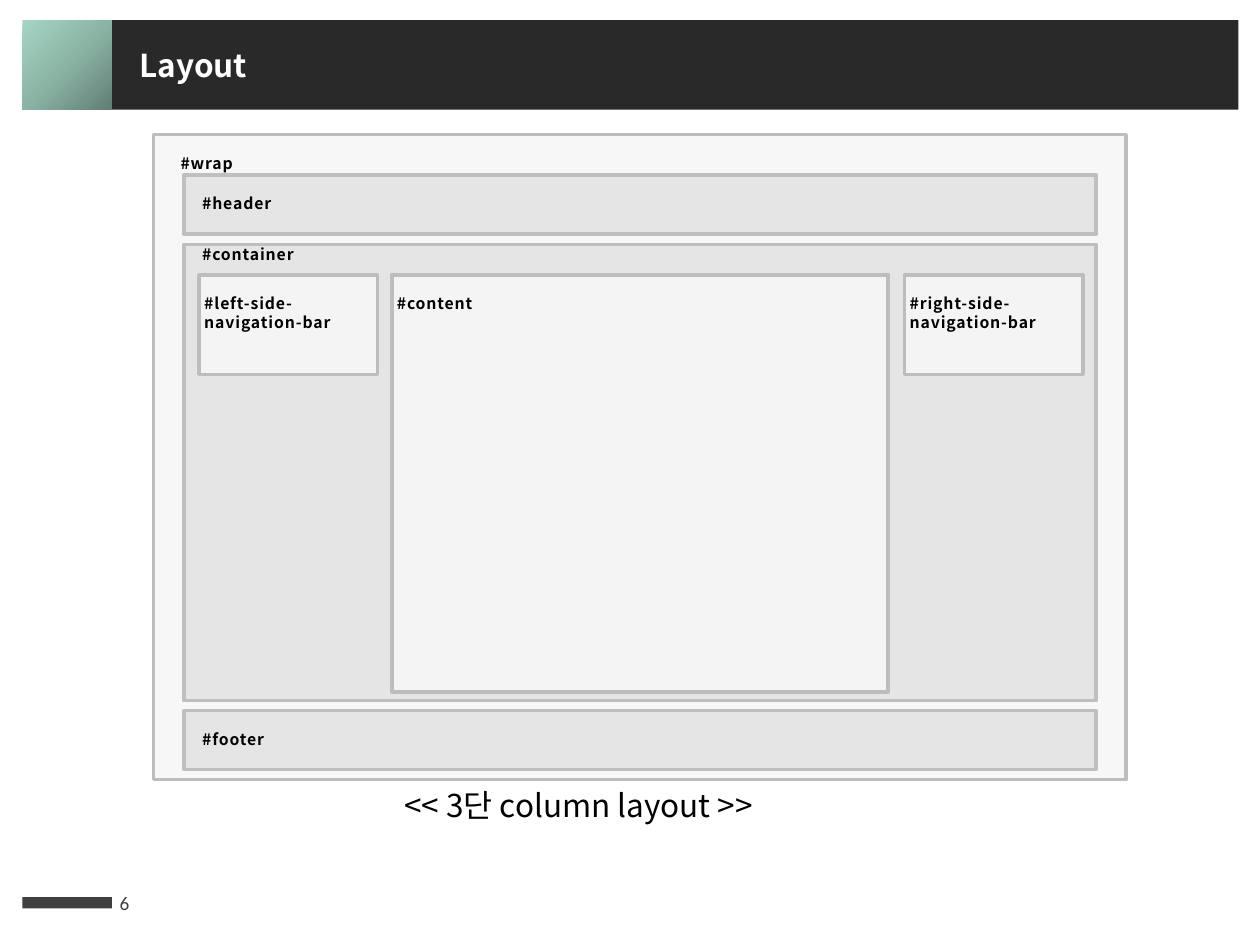
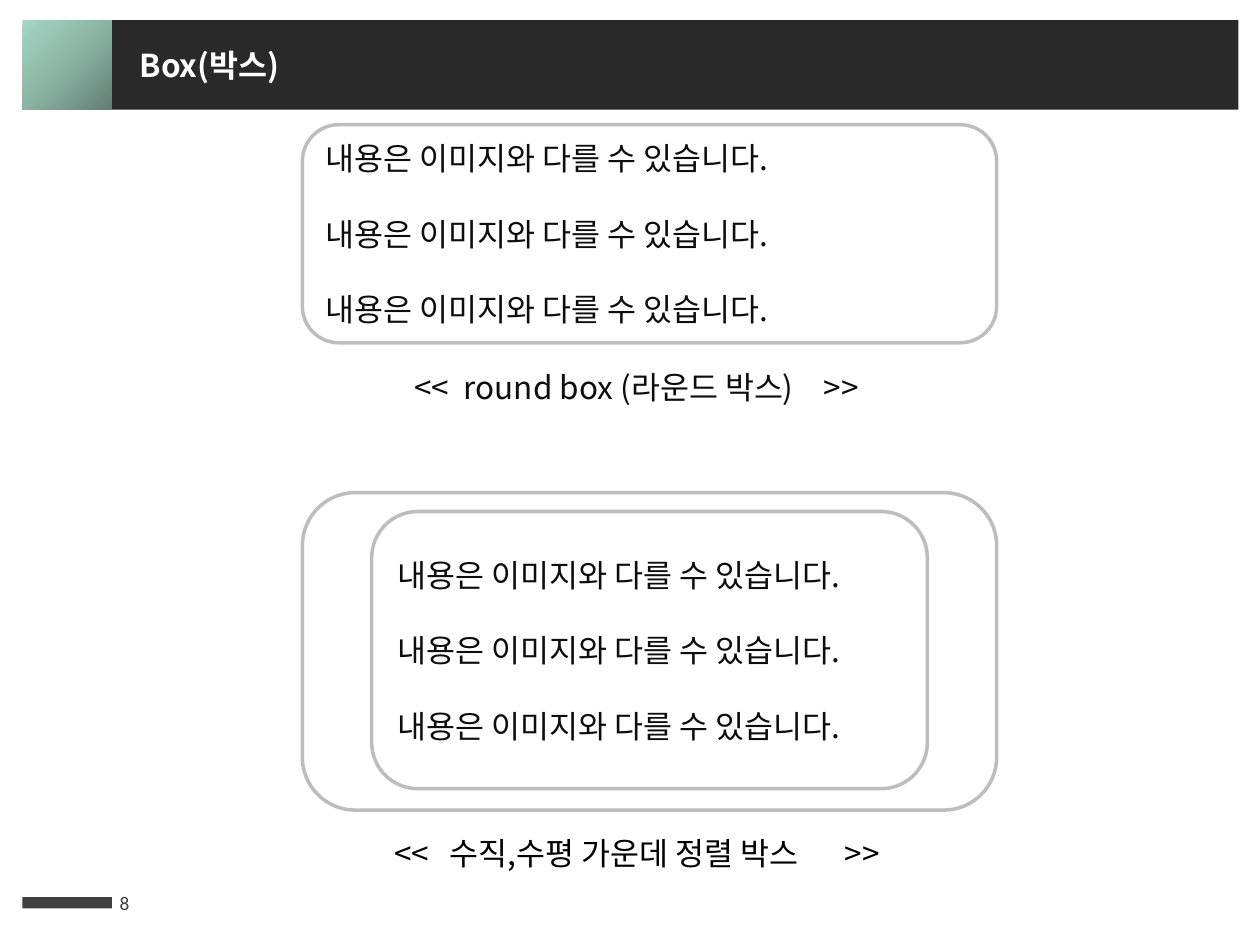
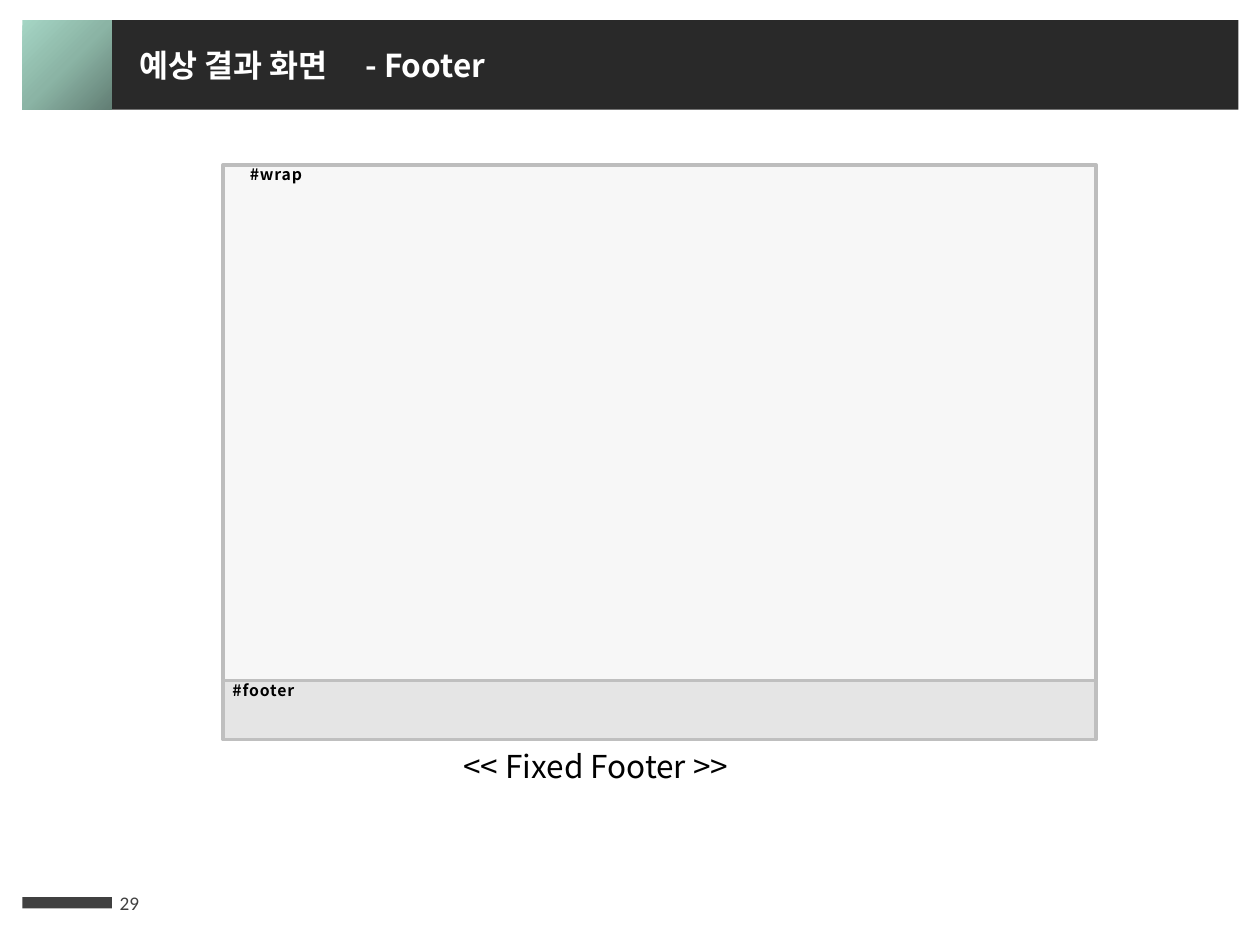
from dataclasses import dataclass

from lxml import etree
from pptx import Presentation
from pptx.dml.color import RGBColor
from pptx.enum import shapes, text
from pptx.oxml import ns, parse_xml
from pptx.util import Pt

HUES = {
    "band": "292929", "bar": "404040", "page": "F7F7F7", "block": "E5E5E5",
    "white": "FFFFFF", "black": "000000", "ink": "0D0D0D",
    "edge": "BDBDBD", "rim": "BFBFBF",
    "deep": "627E74", "mid": "8BB4A5", "mint": "A5D5C4",
}
SANS = "Noto Sans CJK KR"
RECT = shapes.MSO_SHAPE.RECTANGLE
ROUND = shapes.MSO_SHAPE.ROUNDED_RECTANGLE
TOP = text.MSO_ANCHOR.TOP
MIDDLE = text.MSO_ANCHOR.MIDDLE
LEAD = 1.2
SMALL = 9
LARGE = 18
SPACE = 2.5
PAD = (7.2, 3.6, 7.2, 3.6)
BODY = ["내용은 이미지와 다를 수 있습니다."] * 3


@dataclass
class Block:
    left: float
    top: float
    width: float
    height: float
    label: str
    fill: str = "block"
    edge: str = "rim"
    shift: int = 0
    drop: bool = True
    alpha: int = 100


@dataclass
class Note:
    left: float
    top: float
    width: float
    words: str
    hue: str = "black"
    tabs: tuple = ()


def color(name: str) -> RGBColor:
    return RGBColor.from_string(HUES[name])


def write(shape, lines: list, size: float = LARGE, hue: str = "black",
          font: str = SANS, bold: bool = False, track: int = 0,
          gap: float = 0, pads: tuple = PAD, anchor=TOP,
          lead: float = LEAD, tabs: tuple = ()) -> None:
    frame = shape.text_frame
    frame.word_wrap = True
    frame.vertical_anchor = anchor
    (frame.margin_left, frame.margin_top,
     frame.margin_right, frame.margin_bottom) = map(Pt, pads)
    for rank, line in enumerate(lines):
        para = frame.add_paragraph() if rank else frame.paragraphs[0]
        para.alignment = text.PP_ALIGN.LEFT
        if lead:
            para.line_spacing = Pt(size * lead)
        para.space_before = Pt(gap if rank else 0)
        if tabs:
            stops = etree.SubElement(para._p.get_or_add_pPr(), ns.qn("a:tabLst"))
            for spot in tabs:
                etree.SubElement(stops, ns.qn("a:tab"), pos=str(Pt(spot)), algn="l")
        run = para.add_run()
        run.text = line
        run.font.name = font
        run.font.size = Pt(size)
        run.font.bold = bold
        run.font.color.rgb = color(hue)
        props = run._r.get_or_add_rPr()
        if track:
            props.set("spc", str(track))
        etree.SubElement(props, ns.qn("a:ea"), typeface=font)


def draw(slide, kind, left: float, top: float, width: float, height: float,
         fill: str, edge: str = "", alpha: int = 100):
    shape = slide.shapes.add_shape(kind, Pt(left), Pt(top), Pt(width), Pt(height))
    shape.shadow.inherit = False
    shape.fill.solid()
    shape.fill.fore_color.rgb = color(fill)
    if alpha < 100:
        tint = shape._element.spPr.find(".//" + ns.qn("a:srgbClr"))
        etree.SubElement(tint, ns.qn("a:alpha"), val=str(alpha * 1000))
    if edge:
        shape.line.color.rgb = color(edge)
        shape.line.width = Pt(2)
    else:
        shape.line.fill.background()
    return shape


def glow(shape) -> None:
    stops = "".join(
        f'<a:gs pos="{spot}"><a:srgbClr val="{HUES[name]}"/></a:gs>'
        for spot, name in ((0, "deep"), (50000, "mid"), (100000, "mint")))
    ramp = parse_xml(
        f'<a:gradFill {ns.nsdecls("a")} rotWithShape="1"><a:gsLst>{stops}</a:gsLst>'
        '<a:path path="circle"><a:fillToRect l="100000" t="100000"/></a:path>'
        '</a:gradFill>')
    props = shape._element.spPr
    props.replace(props.find(ns.qn("a:solidFill")), ramp)


def area(slide, left: float, top: float, width: float):
    return slide.shapes.add_textbox(Pt(left), Pt(top), Pt(width), Pt(28.8))


def start(deck, title: str, number: int, tabs: tuple = ()):
    slide = deck.slides.add_slide(deck.slide_layouts[6])
    draw(slide, RECT, 64, 11.5, 643.7, 51.2, "band")
    glow(draw(slide, RECT, 12.8, 11.5, 51.2, 51.2, "band"))
    draw(slide, RECT, 12.8, 512.6, 51.2, 6.5, "bar")
    write(area(slide, 61.2, 501.8, 42.5), [str(number)], size=11, hue="bar",
          font="Calibri", anchor=MIDDLE, lead=0)
    write(area(slide, 72.7, 23, 571), [title], hue="white", bold=True, tabs=tabs)
    return slide


def place(slide, block: Block) -> None:
    shape = draw(slide, RECT, block.left, block.top, block.width, block.height,
                 block.fill, block.edge, block.alpha)
    drop = SMALL * LEAD if block.drop else 0
    write(shape, block.label.split("\n"), size=SMALL, bold=True, track=50,
          pads=(2.9 + block.shift * SPACE, drop, 0, 0))


def caption(slide, note: Note) -> None:
    write(area(slide, note.left, note.top, note.width), [note.words],
          hue=note.hue, tabs=note.tabs)


def columns(deck) -> None:
    slide = start(deck, "Layout", 6)
    left, width, row = 105.1, 521.3, 157
    pane = {"fill": "white", "edge": "edge", "alpha": 60}
    for block in (
        Block(87.8, 77, 555.8, 368.6, "#wrap", "page", "edge", 5),
        Block(left, 139.7, width, 260.6, "#container", shift=3, drop=False),
        Block(223.9, row, 283.7, 238.3, "#content", **pane),
        Block(113.8, row, 101.9, 56.9, "#left-side-\nnavigation-bar", **pane),
        Block(left, 100.1, width, 33.8, "#header", shift=3),
        Block(left, 406.1, width, 33.8, "#footer", shift=3),
        Block(516.9, row, 101.9, 56.9, "#right-side-navigation-bar", **pane),
    ):
        place(slide, block)
    caption(slide, Note(223.9, 445.7, 339.8, "<< 3단 column layout >>"))


def boxes(deck) -> None:
    slide = start(deck, "Box(박스)", 8)
    for left, top, width, height, lines in (
        (172.8, 71.3, 396.7, 124.6, BODY),
        (172.8, 281.5, 396.7, 181.4, []),
        (212.4, 292.3, 317.5, 158.4, BODY),
    ):
        shape = draw(slide, ROUND, left, top, width, height, "white", "edge")
        if lines:
            write(shape, lines, hue="ink", gap=LARGE * LEAD, anchor=MIDDLE)
    caption(slide, Note(229.7, 206.6, 283.7, "<<\tround box (라운드 박스)\t>>",
                        "ink", (28.3, 234)))
    caption(slide, Note(218.2, 473, 311.8, "<<\t수직,수평 가운데 정렬 박스\t>>",
                        tabs=(31.8, 257.5)))


def fixed(deck) -> None:
    slide = start(deck, "예상 결과 화면\t- Footer", 29, (129,))
    left, width = 127.4, 499
    place(slide, Block(left, 94.3, width, 294.5, "#wrap", "page", "edge", 5, False))
    place(slide, Block(left, 388.8, width, 33.8, "#footer", shift=1, drop=False))
    caption(slide, Note(257.8, 423.4, 266.4, "<< Fixed Footer >>"))


def main() -> None:
    deck = Presentation()
    deck.slide_width = Pt(720)
    deck.slide_height = Pt(540)
    columns(deck)
    boxes(deck)
    fixed(deck)
    deck.save("out.pptx")


if __name__ == "__main__":
    main()
